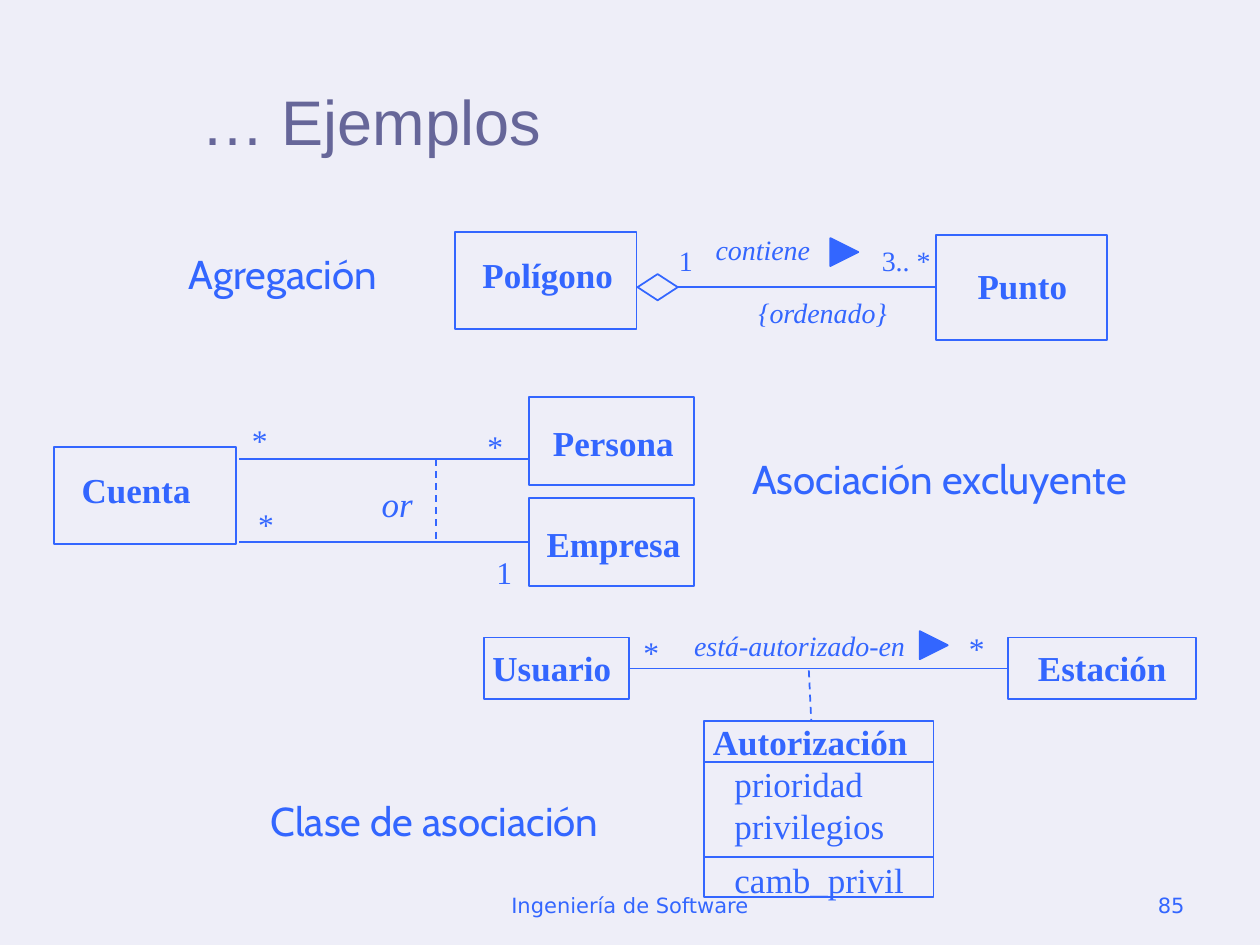
from pptx import Presentation
from pptx.util import Pt
from pptx.dml.color import RGBColor
from pptx.enum.dml import MSO_LINE as Dash
from pptx.enum.shapes import MSO_CONNECTOR as Conn, MSO_SHAPE as Kind
from pptx.enum.text import MSO_ANCHOR as Anchor, MSO_AUTO_SIZE as Auto, PP_ALIGN as Align
from pptx.oxml.ns import qn
from lxml.etree import SubElement

BLUE = "3366FF"
SERIF = "Times New Roman"


def color(code):
    return RGBColor.from_string(code)


def text(slide, words, x, y, w, h, size=20, font=SERIF, tint=BLUE, bold=False,
         italic=False, align=Align.LEFT, anchor=Anchor.TOP, wrap=True, grow=True, space=()):
    box = slide.shapes.add_textbox(Pt(x), Pt(y), Pt(w), Pt(h))
    frame = box.text_frame
    frame.word_wrap = wrap
    frame.auto_size = Auto.SHAPE_TO_FIT_TEXT if grow else Auto.NONE
    frame.vertical_anchor = anchor
    frame.text = words
    for para in frame.paragraphs:
        para.alignment = align
        face = para.font
        face.name, face.size = font, Pt(size)
        face.bold, face.italic = bold, italic
        face.color.rgb = color(tint)
    for para, gap in zip(frame.paragraphs, space):
        para.line_spacing = gap


def shape(slide, kind, x, y, w, h, fill=None):
    item = slide.shapes.add_shape(kind, Pt(x), Pt(y), Pt(w), Pt(h))
    item.shadow.inherit = False
    if fill:
        item.fill.solid()
        item.fill.fore_color.rgb = color(fill)
    else:
        item.fill.background()
    item.line.color.rgb = color(BLUE)
    item.line.width = Pt(1)
    return item


def line(slide, x1, y1, x2, y2, start=None, end=None, dash=False):
    link = slide.shapes.add_connector(Conn.STRAIGHT, Pt(x1), Pt(y1), Pt(x2), Pt(y2))
    SubElement(link.element.spPr, qn("a:effectLst"))
    link.line.color.rgb = color(BLUE)
    link.line.width = Pt(1)
    if dash:
        link.line.dash_style = Dash.DASH
    if start:
        link.begin_connect(start, 3)
    if end:
        link.end_connect(end, 1)


def entity(slide, name, x, y, w, h, dx, dy, wide):
    item = shape(slide, Kind.RECTANGLE, x, y, w, h)
    text(slide, name, x + dx, y + dy, wide, 31, bold=True, wrap=False)
    return item


def arrow(slide, x, y):
    item = shape(slide, Kind.RIGHT_ARROW, x, y, 16, 16, fill=BLUE)
    item.adjustments[0], item.adjustments[1] = 0.5, 1


def label(slide, words, x, y, w):
    text(slide, words, x, y, w, 34.5, size=23, font="Cabin", wrap=False)


def note(slide, words, x, y, w, italic=False):
    text(slide, words, x, y, w, 26.5, size=16, italic=italic)


def count(slide, words, x, y, w=36):
    text(slide, words, x, y, w, 29, size=18)


def heading(slide, x, y, w, h):
    text(slide, "… Ejemplos", x, y, w, h, size=36, font="Arial", tint="666699",
         anchor=Anchor.MIDDLE, grow=False)


def footer(slide, x, y, w, h):
    style = dict(size=12, font="DejaVu Sans", anchor=Anchor.BOTTOM, grow=False)
    text(slide, "Ingeniería de Software", x, y, 228, h, align=Align.CENTER, **style)
    text(slide, "85", x + w - 168, y, 168, h, align=Align.RIGHT, **style)


def whole(slide, x, y):
    label(slide, "Agregación", x, y + 9.4, 138)
    entity(slide, "Polígono", x + 159, y + 3, 104, 55.5, 8.8, 8.5, 89)
    point = entity(slide, "Punto", x + 434, y + 4.5, 98, 60, 16.7, 13.5, 65.5)
    gem = shape(slide, Kind.DIAMOND, x + 263.5, y + 27, 23, 15)
    line(slide, x + 286.5, y + 34.5, x + 434, y + 34.5, gem, point)
    note(slide, "contiene", x + 301, y, 82, italic=True)
    arrow(slide, x + 373.7, y + 6.5)
    note(slide, "1", x + 280, y + 6.2, 44.6)
    note(slide, "3.. *", x + 396, y + 6.2, 44.6)
    note(slide, "{ordenado}", x + 325.5, y + 36, 100, italic=True)


def either(slide, x, y):
    entity(slide, "Cuenta", x, y + 28.8, 104, 55.5, 8.6, 8.6, 77)
    left, right = x + 105.8, x + 271.4
    high, low = y + 35.3, y + 82.8
    entity(slide, "Persona", right, y, 94.3, 50.4, 6.5, 10.8, 83.5)
    firm = entity(slide, "Empresa", right, y + 57.6, 94.3, 50.4, 2.9, 10.8, 91.4)
    line(slide, left, high, right, high)
    line(slide, left, low, right, low, end=firm)
    line(slide, x + 218.2, high, x + 218.2, low, dash=True)
    text(slide, "or", x + 180, y + 45.4, 49, 31, italic=True)
    count(slide, "*", left, y + 10)
    count(slide, "*", x + 240.5, y + 13.7)
    count(slide, "*", x + 109.4, y + 58.3)
    count(slide, "1", x + 245.5, y + 85.7, 44.6)
    label(slide, "Asociación excluyente", x + 391.7, y + 29.5, 252)


def linked(slide, x, y):
    user = entity(slide, "Usuario", x + 128.9, y + 8.6, 82.8, 35.3, -2.2, 1.4, 82.8)
    place = entity(slide, "Estación", x + 428.4, y + 8.6, 107.3, 35.3, 10, 1.4, 87.8)
    line(slide, x + 211.7, y + 26.2, x + 428.4, y + 26.2, user, place)
    count(slide, "*", x + 213, y + 2.2)
    note(slide, "está-autorizado-en", x + 242, y, 144, italic=True)
    arrow(slide, x + 378, y + 5)
    count(slide, "*", x + 399, y)
    left, wide = x + 254.9, 131
    entity(slide, "Autorización", left, y + 56.2, wide, 100.8, -2.2, -3.6, 126)
    for drop in (79.9, 133.9):
        line(slide, left, y + drop, left + wide, y + drop)
    text(slide, "prioridad\nprivilegios\ncamb_privil", x + 265, y + 76.3, 111.6, 86.4,
         wrap=False, space=(1, 1, 1.3))
    line(slide, x + 314.6, y + 27.4, x + 316, y + 56.2, dash=True)
    label(slide, "Clase de asociación", x, y + 95.8, 224)


def main():
    deck = Presentation()
    deck.slide_width, deck.slide_height = Pt(720), Pt(540)
    slide = deck.slides.add_slide(deck.slide_layouts[6])
    back = slide.background.fill
    back.solid()
    back.fore_color.rgb = color("EEEEF8")
    footer(slide, 246, 492, 438, 36)
    heading(slide, 108, 24, 576, 90)
    either(slide, 31, 226.8)
    linked(slide, 147.6, 355.7)
    whole(slide, 100.8, 129.6)
    deck.save("out.pptx")


if __name__ == "__main__":
    main()
